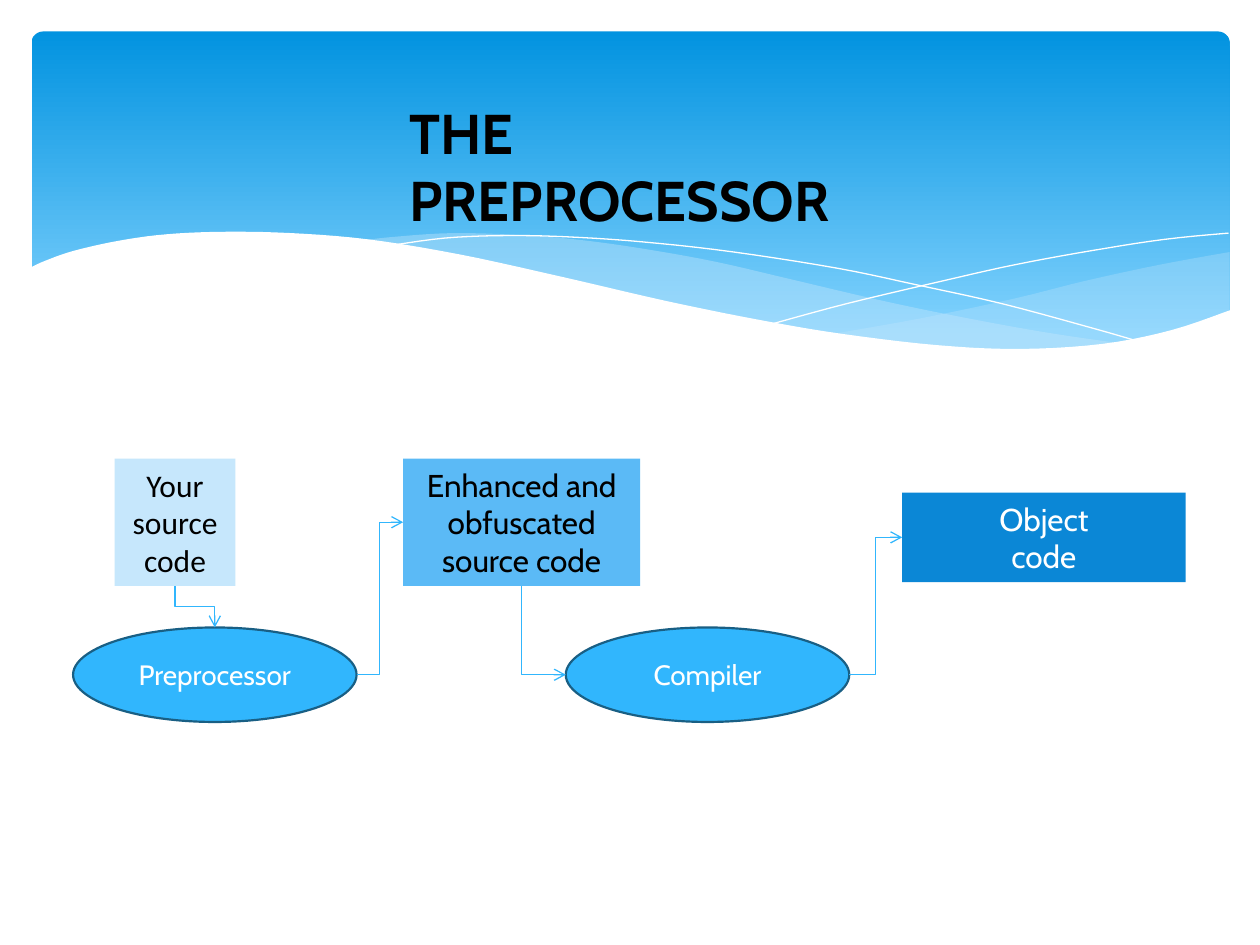
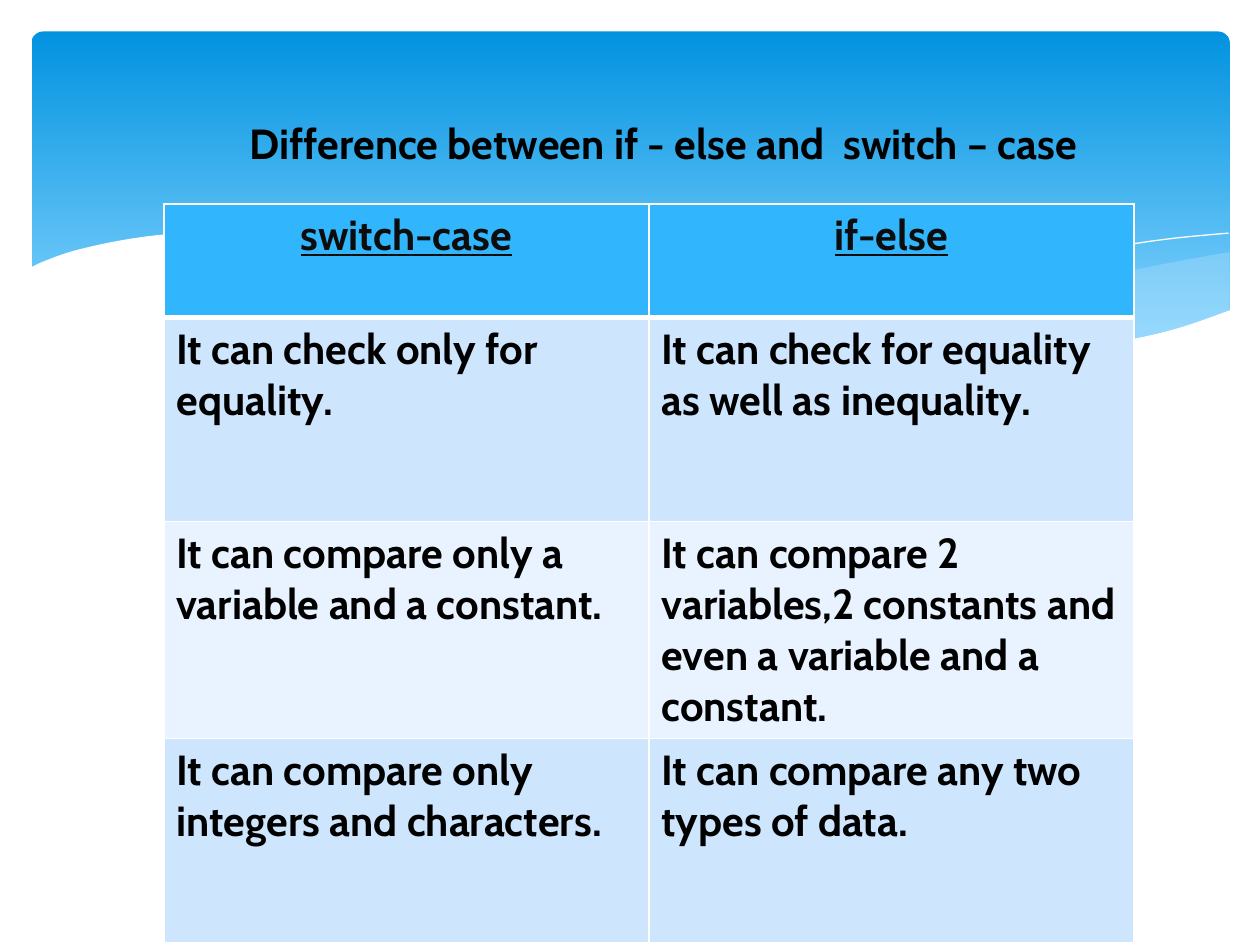
from lxml.etree import SubElement
from pptx import Presentation
from pptx.dml.color import RGBColor
from pptx.enum.shapes import MSO_CONNECTOR, MSO_SHAPE
from pptx.enum.text import MSO_ANCHOR, MSO_AUTO_SIZE, PP_ALIGN
from pptx.oxml.ns import qn
from pptx.util import Inches, Pt

FONT = "Cabin"
BLACK, WHITE, HEADING = "000000", "FFFFFF", "0D0D0D"
SKY, PALE, MEDIUM, DEEP, OUTLINE = "31B6FD", "C6E7FC", "5BBAF6", "0B87D6", "195F84"
BAND_TOP, BAND_BOTTOM = "0293E0", "83D3FE"
ROW_COLOURS = ["CEE5FE", "E8F3FF"]

# Each edge lists the knots of one smooth curve, in inches.
RIGHT_SWELL = [
    [(9.76, 2), (9.21, 2.1), (8.61, 2.23), (8.05, 2.37), (7.29, 2.53), (6.61, 2.65)],
    [(6.61, 2.65), (7.05, 2.71), (7.57, 2.76), (8.03, 2.78), (8.54, 2.76),
     (8.97, 2.7), (9.35, 2.62), (9.76, 2.47)],
]
MIDDLE_SWELL = [
    [(8.93, 2.73), (8.37, 2.65), (7.75, 2.54), (7.06, 2.4), (6.29, 2.22), (5.69, 2.08),
     (5.14, 1.98), (4.65, 1.91), (4.2, 1.87), (3.61, 1.85), (3.13, 1.88), (2.86, 1.91)],
    [(2.86, 1.91), (3.42, 1.99), (4.04, 2.11), (4.49, 2.22), (5.3, 2.4), (6.01, 2.55),
     (6.65, 2.66), (7.22, 2.74), (7.73, 2.77), (8.18, 2.78), (8.57, 2.77), (8.93, 2.73)],
]
FALLING_LINE = [
    [(3.09, 1.95), (3.53, 1.89), (4.01, 1.87), (4.5, 1.88), (5.1, 1.92), (5.82, 2),
     (6.65, 2.13), (7.27, 2.26), (7.95, 2.41), (8.69, 2.61), (9.07, 2.72)],
]
RISING_LINE = [
    [(6.13, 2.57), (6.72, 2.41), (7.48, 2.23), (8.06, 2.1), (8.66, 1.99),
     (9.24, 1.9), (9.75, 1.85)],
]
WHITE_WAVE = [
    [(9.77, 2.46), (9.3, 2.62), (8.75, 2.73), (8.09, 2.77), (7.44, 2.74), (6.68, 2.65),
     (6.03, 2.54), (5.29, 2.39), (4.47, 2.2), (3.65, 2.02), (2.92, 1.9), (2.3, 1.85),
     (1.77, 1.84), (1.32, 1.86), (0.95, 1.91), (0.59, 1.99), (0.36, 2.07), (0.23, 2.13)],
    [(0.23, 3.29), (9.77, 3.29)],
]

COMPARISON = [
    ("switch-case", "if-else"),
    ("It can check only for equality.",
     "It can check for equality as well as inequality."),
    ("It can compare only a variable and a constant.",
     "It can compare 2 variables,2 constants and even a variable and a constant."),
    ("It can compare only integers and characters.",
     "It can compare any two types of data."),
]


def colour(hex_text):
    return RGBColor.from_string(hex_text)


def paint(shape, fill=None, line=None, width=0.75, alpha=None):
    shape.shadow.inherit = False
    if fill:
        shape.fill.solid()
        shape.fill.fore_color.rgb = colour(fill)
    else:
        shape.fill.background()
    if alpha:
        tint = shape.element.spPr.find(".//" + qn("a:srgbClr"))
        SubElement(tint, qn("a:alpha"), val=str(alpha * 1000))
    if line:
        shape.line.color.rgb = colour(line)
        shape.line.width = Pt(width)
    else:
        shape.line.fill.background()


def write(para, text, size, ink, bold=False, align=PP_ALIGN.LEFT, font=FONT):
    para.alignment = align
    span = para.add_run()
    span.text = text
    span.font.name = font
    span.font.size = Pt(size)
    span.font.bold = bold
    span.font.color.rgb = colour(ink)
    return span


def smooth(knots, steps=5):
    """Return points on a Catmull-Rom curve through the knots."""
    if len(knots) == 2:
        return knots
    padded = [knots[0], *knots, knots[-1]]
    points = [knots[0]]
    for a, b, c, d in zip(padded, padded[1:], padded[2:], padded[3:]):
        for step in range(1, steps + 1):
            t = step / steps
            points.append(tuple(
                q + t * (r - p) / 2 + t * t * (2 * p - 5 * q + 4 * r - s) / 2
                + t ** 3 * (3 * q - p - 3 * r + s) / 2
                for p, q, r, s in zip(a, b, c, d)))
    return points


def add_curve(group, edges, close=True):
    points = [(Inches(x), Inches(y)) for edge in edges for x, y in smooth(edge)]
    builder = group.shapes.build_freeform(*points[0])
    builder.add_line_segments(points[1:], close=close)
    return builder.convert_to_shape()


def add_wave_band(page):
    """Draw the blue band with its waves and hand it to the page's layout."""
    group = page.shapes.add_group_shape()
    band = group.shapes.add_shape(MSO_SHAPE.ROUNDED_RECTANGLE, Inches(0.25), Inches(0.25),
                                  Inches(9.51), Inches(2.7))
    band.adjustments[0] = 0.034
    paint(band)
    band.fill.gradient()
    band.fill.gradient_angle = 270
    for stop, tint, position in zip(band.fill.gradient_stops, (BAND_TOP, BAND_BOTTOM), (0, 0.9)):
        stop.color.rgb = colour(tint)
        stop.position = position

    for swell, alpha in ((RIGHT_SWELL, 29), (MIDDLE_SWELL, 40)):
        paint(add_curve(group, swell), PALE, alpha=alpha)
    for thread in (FALLING_LINE, RISING_LINE):
        paint(add_curve(group, thread, close=False), line=WHITE, width=0)
    paint(add_curve(group, WHITE_WAVE), WHITE)

    for number, mark in enumerate(group.element.iter(qn("p:cNvPr")), 101):
        mark.set("id", str(number))
    page.slide_layout.shapes.element.insert(2, group.element)


def set_title(page, text, box, size):
    title = page.shapes.title
    title.left, title.top, title.width, title.height = (Inches(value) for value in box)
    frame = title.text_frame
    frame.word_wrap = True
    frame.auto_size = MSO_AUTO_SIZE.NONE
    frame.vertical_anchor = MSO_ANCHOR.TOP
    write(frame.paragraphs[0], text, size, BLACK, bold=True)


def add_block(page, kind, box, lines, fill, ink, size=18, line=None, font=FONT):
    block = page.shapes.add_shape(kind, *(Inches(value) for value in box))
    paint(block, fill, line, 1.25)
    frame = block.text_frame
    frame.word_wrap = True
    frame.vertical_anchor = MSO_ANCHOR.MIDDLE
    for index, text in enumerate(lines):
        para = frame.add_paragraph() if index else frame.paragraphs[0]
        write(para, text, size, ink, align=PP_ALIGN.CENTER, font=font)
    return block


def side(block, name):
    """Return the middle of one side of a block."""
    across, down = {"top": (0.5, 0), "bottom": (0.5, 1), "left": (0, 0.5), "right": (1, 0.5)}[name]
    return int(block.left + across * block.width), int(block.top + down * block.height)


def add_elbow(page, start, end, downward=False, bends=2):
    """Join two points by an elbow arrow that leaves sideways or downward."""
    (x1, y1), (x2, y2) = start, end
    if downward:
        # The frame is laid out sideways about the same centre, then turned.
        width, height = y2 - y1, x2 - x1
        left, top = (x1 + x2 - width) // 2, (y1 + y2 - height) // 2
        x1, y1, x2, y2 = left + width, top, left, top + height
    arrow = page.shapes.add_connector(MSO_CONNECTOR.ELBOW, x1, y1, x2, y2)
    arrow.line.color.rgb = colour(SKY)
    arrow.line.width = Pt(0.75)
    properties = arrow.element.spPr
    if downward:
        properties.find(qn("a:xfrm")).set("rot", str(270 * 60000))
    properties.find(qn("a:prstGeom")).set("prst", f"bentConnector{bends + 1}")
    SubElement(properties.find(qn("a:ln")), qn("a:tailEnd"), type="arrow")
    SubElement(properties, qn("a:effectLst"))


def add_compile_flow(page, left, top):
    code_height, stage_top = 1.01, top + 1.34

    def add_code(x, y, width, height, lines, fill, ink, font=FONT):
        return add_block(page, MSO_SHAPE.RECTANGLE, (left + x, top + y, width, height),
                         lines, fill, ink, font=font)

    def add_stage(x, name):
        return add_block(page, MSO_SHAPE.OVAL, (left + x, stage_top, 2.25, 0.75),
                         [name], SKY, WHITE, 16, OUTLINE)

    source = add_code(0.33, 0, 0.96, code_height, ["Your", "source", "code"],
                      PALE, BLACK, "Calibri")
    enhanced = add_code(2.62, 0, 1.88, code_height,
                        ["Enhanced and", "obfuscated", "source code"], MEDIUM, BLACK)
    result = add_code(6.58, 0.27, 2.25, 0.71, ["Object", "code"], DEEP, WHITE)
    preprocessor = add_stage(0, "Preprocessor")
    compiler = add_stage(3.91, "Compiler")

    add_elbow(page, side(source, "bottom"), side(preprocessor, "top"), downward=True)
    add_elbow(page, side(preprocessor, "right"), side(enhanced, "left"))
    add_elbow(page, side(enhanced, "bottom"), side(compiler, "left"), downward=True, bends=1)
    add_elbow(page, side(compiler, "right"), side(result, "left"))


def set_borders(cell, top, bottom):
    properties = cell._tc.get_or_add_tcPr()
    for index, (edge, points) in enumerate((("L", 1), ("R", 1), ("T", top), ("B", bottom))):
        border = SubElement(properties, qn(f"a:ln{edge}"), w=str(Pt(points)))
        SubElement(SubElement(border, qn("a:solidFill")), qn("a:srgbClr"), val=WHITE)
        properties.insert(index, border)


def add_comparison(page, left, top, width):
    heights = [0.9] + [1.62] * (len(COMPARISON) - 1)
    table = page.shapes.add_table(len(COMPARISON), 2, Inches(left), Inches(top),
                                  Inches(width), Inches(sum(heights))).table
    table.horz_banding = False
    for row_index, (texts, height) in enumerate(zip(COMPARISON, heights)):
        heading = row_index == 0
        table.rows[row_index].height = Inches(height)
        for column_index, text in enumerate(texts):
            cell = table.cell(row_index, column_index)
            cell.fill.solid()
            cell.fill.fore_color.rgb = colour(SKY if heading else ROW_COLOURS[(row_index - 1) % 2])
            set_borders(cell, top=3 if row_index == 1 else 1, bottom=3 if heading else 1)
            span = write(cell.text_frame.paragraphs[0], text, 24, HEADING if heading else BLACK,
                         bold=True, align=PP_ALIGN.CENTER if heading else PP_ALIGN.LEFT)
            span.font.underline = heading


def main():
    deck = Presentation()
    deck.slide_width, deck.slide_height = Inches(10), Inches(7.5)
    title_only = deck.slide_layouts[5]

    page = deck.slides.add_slide(title_only)
    add_wave_band(page)
    set_title(page, "THE PREPROCESSOR", (3.15, 0.73, 4.19, 1.17), 32)
    add_compile_flow(page, 0.58, 3.64)

    page = deck.slides.add_slide(title_only)
    set_title(page, "Difference between if - else and  switch – case", (1.88, 0.88, 6.81, 0.5), 24)
    add_comparison(page, 1.3, 1.62, 7.7)

    deck.save("out.pptx")


if __name__ == "__main__":
    main()
